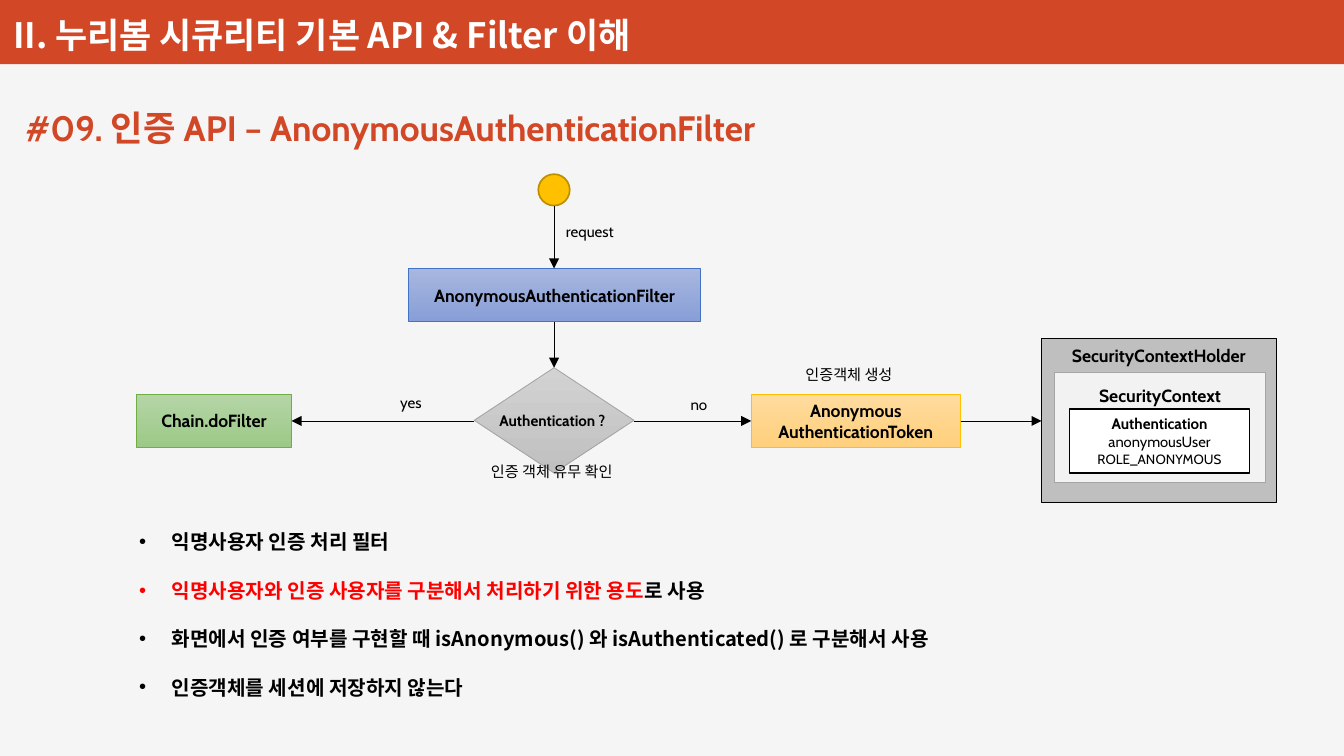
"""Build the AnonymousAuthenticationFilter slide with its flow diagram and notes."""
import pptx
import pptx.util
from lxml import etree
from pptx.dml.color import RGBColor
from pptx.enum.shapes import MSO_CONNECTOR, MSO_SHAPE
from pptx.enum.text import MSO_ANCHOR, MSO_AUTO_SIZE, PP_ALIGN
from pptx.oxml.ns import qn
from pptx.util import Inches, Pt

LATIN_FONT, KOREAN_FONT = "Cabin", "Noto Sans CJK KR"
BLACK, WHITE = RGBColor(0, 0, 0), RGBColor(255, 255, 255)
RED, ORANGE = RGBColor(255, 0, 0), RGBColor(0xD2, 0x47, 0x26)
PAGE_GRAY = RGBColor(0xF5, 0xF5, 0xF5)
HOLDER_GRAY, CONTEXT_GRAY = RGBColor(0xBF, 0xBF, 0xBF), RGBColor(0xF2, 0xF2, 0xF2)
GRAY_LINE = RGBColor(0xA5, 0xA5, 0xA5)
GRAY_BLEND = (RGBColor(0xD2, 0xD2, 0xD2), RGBColor(0xC0, 0xC0, 0xC0))
BLUE_LINE = RGBColor(0x44, 0x72, 0xC4)
BLUE_BLEND = (RGBColor(0xA8, 0xB7, 0xDF), RGBColor(0x88, 0x9E, 0xD7))
GREEN_LINE = RGBColor(0x70, 0xAD, 0x47)
GREEN_BLEND = (RGBColor(0xB5, 0xD5, 0xA7), RGBColor(0x9C, 0xC9, 0x87))
GOLD, GOLD_LINE = RGBColor(0xFF, 0xC0, 0), RGBColor(0xBD, 0x8E, 0)
GOLD_BLEND = (RGBColor(0xFF, 0xDB, 0x9E), RGBColor(0xFF, 0xD0, 0x7C))

SLIDE_WIDTH, SLIDE_HEIGHT = 11.11, 6.25
HEADER = "II. 누리봄 시큐리티 기본 API & Filter 이해"
TITLE = "#09. 인증 API – AnonymousAuthenticationFilter"
BULLETS = [
    [("익명사용자 인증 처리 필터", BLACK)],
    [("익명사용자와 인증 사용자를 구분해서 처리하기 위한 용도", RED), ("로 사용", BLACK)],
    [("화면에서 인증 여부를 구현할 때 isAnonymous() 와 isAuthenticated() 로 구분해서 사용", BLACK)],
    [("인증객체를 세션에 저장하지 않는다", BLACK)],
]

RECTANGLE = MSO_SHAPE.RECTANGLE
AXIS_X, AXIS_Y = 4.58, 3.48
NODES = {
    "start": (MSO_SHAPE.OVAL, (4.45, 1.44, 0.26, 0.26), GOLD, GOLD_LINE, 1),
    "filter": (RECTANGLE, (3.38, 2.22, 2.41, 0.44), BLUE_BLEND, BLUE_LINE, 0.5),
    "decision": (MSO_SHAPE.FLOWCHART_DECISION, (3.92, 3.04, 1.32, 0.87), GRAY_BLEND, GRAY_LINE, 0.5),
    "chain": (RECTANGLE, (1.13, 3.26, 1.28, 0.44), GREEN_BLEND, GREEN_LINE, 0.5),
    "token": (RECTANGLE, (6.21, 3.26, 1.73, 0.44), GOLD_BLEND, GOLD, 0.5),
    "holder": (RECTANGLE, (8.61, 2.8, 1.94, 1.35), HOLDER_GRAY, BLACK, 0.5),
    "context": (RECTANGLE, (8.72, 3.08, 1.74, 0.91), CONTEXT_GRAY, GRAY_LINE, 0.5),
    "authentication": (RECTANGLE, (8.84, 3.38, 1.49, 0.53), WHITE, BLACK, 1),
}
NODE_TEXTS = {
    "filter": [("AnonymousAuthenticationFilter", 10.5, True)],
    "chain": [("Chain.doFilter", 10.5, True)],
    "token": [("Anonymous", 10.5, True), ("AuthenticationToken", 10.5, True)],
    "holder": [("SecurityContextHolder", 10.5, True)],
    "context": [("SecurityContext", 10.5, True)],
    "authentication": [("Authentication", 9, True), ("anonymousUser", 8.8, False), ("ROLE_ANONYMOUS", 8, False)],
}
TOP_INSETS = {"holder": 0.05, "context": 0.1}
LABELS = [
    ("request", 4.58, 1.79, 0.71, False),
    ("Authentication ?", 4.03, 3.35, 1.18, True),
    ("yes", 3.21, 3.2, 0.42, False),
    ("no", 5.61, 3.22, 0.42, False),
    ("인증객체 생성", 6.56, 2.97, 1.16, False),
    ("인증 객체 유무 확인", 3.96, 3.77, 1.52, False),
]
DOWN_ARROWS = [("start", "filter"), ("filter", "decision")]
SIDE_ARROWS = [("decision", "chain"), ("decision", "token"), ("token", "holder")]


def style_run(run, size, color=BLACK, bold=False, font=LATIN_FONT):
    run.font.size, run.font.bold, run.font.name = Pt(size), bold, font
    run.font.color.rgb = color
    east_asian = etree.SubElement(run.font._element, qn("a:ea"))
    east_asian.set("typeface", KOREAN_FONT)


def place(shape, left, top, width, height):
    shape.left, shape.top = Inches(left), Inches(top)
    shape.width, shape.height = Inches(width), Inches(height)


def set_line(shape, text, size, color, bold, font, anchor):
    frame = shape.text_frame
    frame.text = text
    frame.word_wrap, frame.auto_size = True, MSO_AUTO_SIZE.NONE
    frame.vertical_anchor = anchor
    frame.paragraphs[0].alignment = PP_ALIGN.LEFT
    style_run(frame.paragraphs[0].runs[0], size, color, bold, font)


def add_box(slide, kind, box, fill, line, weight):
    shape = slide.shapes.add_shape(kind, *map(Inches, box))
    shape.shadow.inherit = False
    if isinstance(fill, RGBColor):
        shape.fill.solid()
        shape.fill.fore_color.rgb = fill
    else:
        shape.fill.gradient()
        shape.fill.gradient_angle = 270
        for stop, color in zip(shape.fill.gradient_stops, fill):
            stop.color.rgb = color
    if line is None:
        shape.line.fill.background()
    else:
        shape.line.color.rgb, shape.line.width = line, Pt(weight)
    return shape


def write_node(shape, lines, top_inset):
    frame = shape.text_frame
    frame.word_wrap = True
    frame.margin_top = frame.margin_bottom = Inches(top_inset)
    frame.vertical_anchor = MSO_ANCHOR.TOP if top_inset else MSO_ANCHOR.MIDDLE
    frame.text = "\n".join(text for text, size, bold in lines)
    for paragraph, (text, size, bold) in zip(frame.paragraphs, lines):
        paragraph.alignment = PP_ALIGN.CENTER
        style_run(paragraph.runs[0], size, BLACK, bold)


def add_arrow(slide, start, end):
    arrow = slide.shapes.add_connector(MSO_CONNECTOR.STRAIGHT, *map(Inches, start + end))
    arrow.line.color.rgb, arrow.line.width = BLACK, Pt(0.5)
    head = etree.SubElement(arrow.line._get_or_add_ln(), qn("a:tailEnd"))
    head.set("type", "triangle")
    etree.SubElement(arrow._element.spPr, qn("a:effectLst"))


def connect_nodes(slide):
    boxes = {name: node[1] for name, node in NODES.items()}
    for source, target in DOWN_ARROWS:
        bottom = boxes[source][1] + boxes[source][3]
        add_arrow(slide, (AXIS_X, bottom), (AXIS_X, boxes[target][1]))
    for source, target in SIDE_ARROWS:
        left, right = sorted((boxes[source], boxes[target]))
        ends = [(left[0] + left[2], AXIS_Y), (right[0], AXIS_Y)]
        if left is boxes[target]:
            ends.reverse()
        add_arrow(slide, *ends)


def write_bullets(body):
    place(body, 1.05, 4.13, 7.31, 1.72)
    frame = body.text_frame
    frame.auto_size, frame.vertical_anchor = MSO_AUTO_SIZE.NONE, MSO_ANCHOR.TOP
    for index, parts in enumerate(BULLETS):
        paragraph = frame.add_paragraph() if index else frame.paragraphs[0]
        paragraph.line_spacing, paragraph.space_before = 2.0, Pt(0)
        properties = paragraph._p.get_or_add_pPr()
        properties.set("marL", str(Inches(0.27)))
        properties.set("indent", str(Inches(-0.27)))
        for text, color in parts:
            run = paragraph.add_run()
            run.text = text
            style_run(run, 12, color, True, KOREAN_FONT)


def main():
    presentation = pptx.Presentation()
    presentation.slide_width = Inches(SLIDE_WIDTH)
    presentation.slide_height = Inches(SLIDE_HEIGHT)
    slide = presentation.slides.add_slide(presentation.slide_layouts[1])
    slide.background.fill.solid()
    slide.background.fill.fore_color.rgb = PAGE_GRAY

    add_box(slide, RECTANGLE, (0, 0, SLIDE_WIDTH, 0.53), ORANGE, None, 0)
    header = slide.shapes.add_textbox(Inches(0.01), 0, Inches(6.17), Inches(0.51))
    set_line(header, HEADER, 20.8, WHITE, True, KOREAN_FONT, MSO_ANCHOR.BOTTOM)
    title = slide.shapes.title
    place(title, 0.11, 0.83, 7.2, 0.45)
    set_line(title, TITLE, 21, ORANGE, True, LATIN_FONT, MSO_ANCHOR.TOP)
    write_bullets(slide.placeholders[1])

    for name, node in NODES.items():
        shape = add_box(slide, *node)
        if name in NODE_TEXTS:
            write_node(shape, NODE_TEXTS[name], TOP_INSETS.get(name, 0))
    connect_nodes(slide)
    for text, left, top, width, bold in LABELS:
        label = slide.shapes.add_textbox(*map(Inches, (left, top, width, 0.25)))
        set_line(label, text, 9, BLACK, bold, LATIN_FONT, MSO_ANCHOR.TOP)
    presentation.save("out.pptx")


if __name__ == "__main__":
    main()
